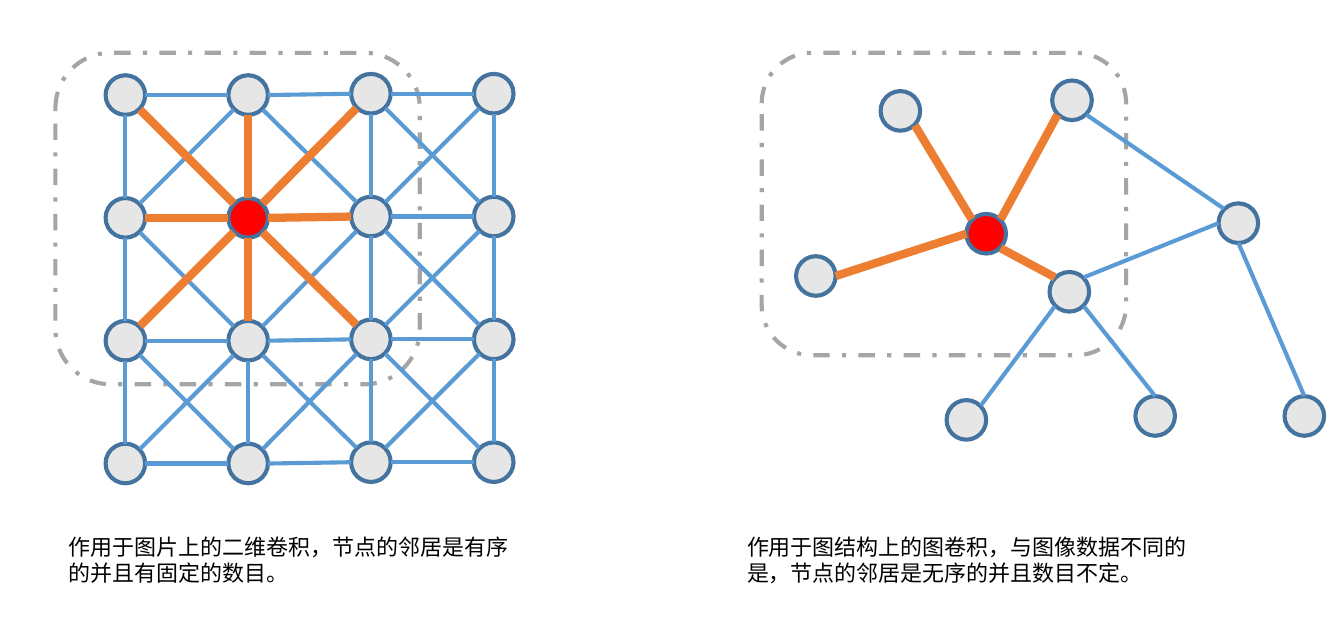
from dataclasses import dataclass
from itertools import product

from lxml.etree import SubElement
from pptx import Presentation
from pptx.dml.color import RGBColor
from pptx.enum.dml import MSO_LINE
from pptx.enum.shapes import MSO_CONNECTOR, MSO_SHAPE as SHAPE
from pptx.oxml.ns import qn
from pptx.util import Emu, Pt

PX = 9144
RADIUS = 15
PITCH = 93
GRAY, WHITE, BLACK = "A5A5A5", "FFFFFF", "000000"
NODE, FOCUS, RING = "E7E6E6", "FF0000", "43739E"
BLUE, ORANGE = "5B9BD5", "ED7D31"
SITES = {
    "N": (0, -1), "S": (0, 1), "W": (-1, 0), "E": (1, 0),
    "NW": (-0.71, -0.71), "NE": (0.71, -0.71),
    "SW": (-0.71, 0.71), "SE": (0.71, 0.71),
}
STEPS = [((1, 0), "E", "W"), ((0, 1), "S", "N"),
         ((1, 1), "SE", "NW"), ((1, -1), "NE", "SW")]


@dataclass(frozen=True)
class Node:
    """A graph vertex, by its centre in px."""
    x: int
    y: int
    focus: bool = False

    def site(self, name: str) -> tuple[int, int]:
        """Return the point of the rim at a compass direction."""
        dx, dy = SITES[name]
        return round(self.x + dx * RADIUS), round(self.y + dy * RADIUS)


@dataclass(frozen=True)
class Edge:
    """A link between the rims of two nodes."""
    a: Node
    a_site: str
    b: Node
    b_site: str

    @property
    def focus(self) -> bool:
        """Tell whether the link touches the focus node."""
        return self.a.focus or self.b.focus


@dataclass(frozen=True)
class Panel:
    """A frame, its graph and its caption."""
    frame: tuple[int, int, int, int]
    nodes: list[Node]
    edges: list[Edge]
    caption_left: int
    caption: str


def px(n: int) -> Emu:
    """Turn px into EMU."""
    return Emu(n * PX)


def rgb(color: str) -> RGBColor:
    """Turn a hex string into a colour."""
    return RGBColor.from_string(color)


def style(obj, values: dict) -> None:
    """Set attributes from a dict."""
    for name, value in values.items():
        setattr(obj, name, value)


def add_outlined(shapes, kind, box: tuple, fill: str, line: str, dash=None) -> None:
    """Draw a filled shape with an outline."""
    sp = shapes.add_shape(kind, *map(px, box))
    sp.shadow.inherit = False
    sp.fill.solid()
    sp.fill.fore_color.rgb = rgb(fill)
    sp.line.color.rgb = rgb(line)
    style(sp.line, {"width": Pt(2.25), "dash_style": dash})


def add_node(shapes, node: Node) -> None:
    """Draw a node as a circle."""
    box = (node.x - RADIUS, node.y - RADIUS, 2 * RADIUS, 2 * RADIUS)
    add_outlined(shapes, SHAPE.OVAL, box, FOCUS if node.focus else NODE, RING)


def add_edge(shapes, edge: Edge) -> None:
    """Draw an edge, thick and orange at the focus node."""
    ends = edge.a.site(edge.a_site) + edge.b.site(edge.b_site)
    cxn = shapes.add_connector(MSO_CONNECTOR.STRAIGHT, *map(px, ends))
    cxn.line.color.rgb = rgb(ORANGE if edge.focus else BLUE)
    cxn.line.width = Pt(4.5 if edge.focus else 2.25)
    SubElement(cxn._element.spPr, qn("a:effectLst"))


def add_caption(shapes, left: int, text: str) -> None:
    """Write a caption below a graph."""
    tf = shapes.add_textbox(px(left), px(399), px(362), px(50)).text_frame
    tf.word_wrap = True
    r = tf.paragraphs[0].add_run()
    r.text = text
    style(r.font, {"name": "Calibri", "size": Pt(12)})
    r.font.color.rgb = rgb(BLACK)


def add_panel(shapes, panel: Panel) -> None:
    """Draw a panel from back to front."""
    add_outlined(shapes, SHAPE.ROUNDED_RECTANGLE, panel.frame, WHITE, GRAY,
                 MSO_LINE.DASH_DOT)
    for node in panel.nodes:
        add_node(shapes, node)
    for edge in sorted(panel.edges, key=lambda e: e.focus):
        add_edge(shapes, edge)
    add_caption(shapes, panel.caption_left, panel.caption)


def image_panel() -> Panel:
    """Describe the regular grid, each node linked to its neighbours."""
    grid = {(c, r): Node(95 + PITCH * c, 72 + PITCH * r - c // 2, (c, r) == (1, 1))
            for r, c in product(range(4), repeat=2)}
    edges = [Edge(node, start, grid[c + dc, r + dr], end)
             for (c, r), node in grid.items()
             for (dc, dr), start, end in STEPS if (c + dc, r + dr) in grid]
    return Panel((42, 40, 276, 251), list(grid.values()), edges, 42,
                 "作用于图片上的二维卷积，节点的邻居是有序的并且有固定的数目。")


def graph_panel() -> Panel:
    """Describe the irregular graph."""
    focus = Node(747, 177, True)
    upper_left, left, upper_right = Node(682, 84), Node(618, 209), Node(812, 76)
    hub, outer = Node(810, 221), Node(938, 169)
    leaf_left, leaf_mid, leaf_right = Node(732, 318), Node(875, 315), Node(988, 315)
    edges = [
        Edge(upper_left, "SE", focus, "NW"),
        Edge(upper_right, "SW", focus, "NE"),
        Edge(left, "E", focus, "W"),
        Edge(hub, "NW", focus, "SE"),
        Edge(leaf_left, "NE", hub, "SW"),
        Edge(outer, "W", hub, "NE"),
        Edge(upper_right, "SE", outer, "NW"),
        Edge(hub, "SE", leaf_mid, "N"),
        Edge(outer, "S", leaf_right, "N"),
    ]
    nodes = [upper_left, focus, left, upper_right, hub, outer,
             leaf_left, leaf_mid, leaf_right]
    return Panel((577, 40, 276, 229), nodes, edges, 556,
                 "作用于图结构上的图卷积，与图像数据不同的是，节点的邻居是无序的并且数目不定。")


def main() -> None:
    """Build the slide and save it."""
    prs = Presentation()
    style(prs, {"slide_width": px(1018), "slide_height": px(474)})
    slide = prs.slides.add_slide(prs.slide_layouts[6])
    for panel in (image_panel(), graph_panel()):
        add_panel(slide.shapes, panel)
    prs.save("out.pptx")


if __name__ == "__main__":
    main()
